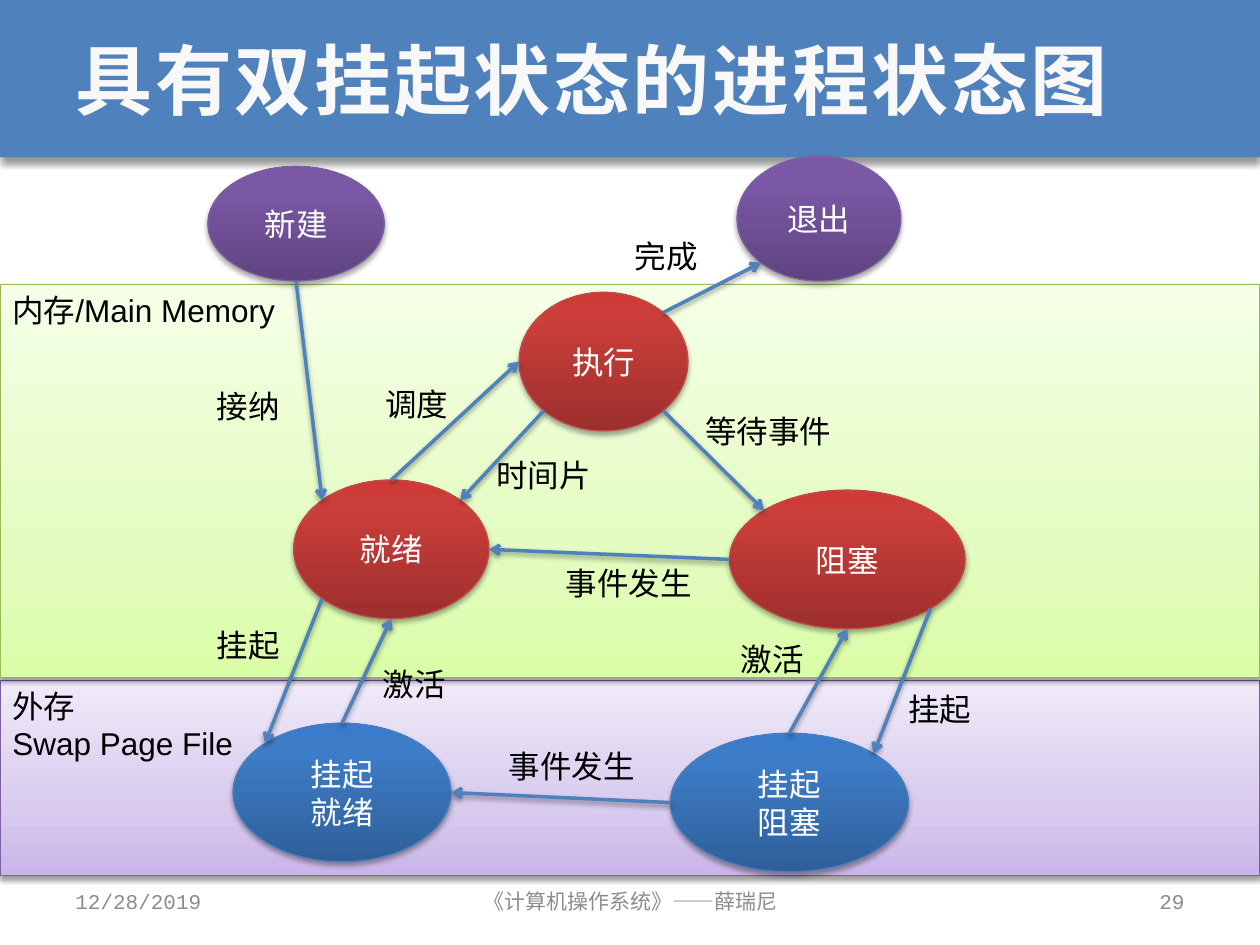
from math import cos, radians, sin

from lxml.etree import SubElement
from pptx import Presentation
from pptx.dml.color import RGBColor
from pptx.enum.shapes import MSO_CONNECTOR, MSO_SHAPE
from pptx.enum.text import MSO_ANCHOR, MSO_AUTO_SIZE, PP_ALIGN
from pptx.oxml.ns import qn
from pptx.util import Inches, Pt

CJK = "Noto Sans CJK SC"
MONO = "Courier New"
COLORS = {
    "accent": "4F81BD", "title": "F8F8F8", "text": "000000",
    "node_text": "FFFFFF", "footer": "8C8C8C", "shadow": "000000",
}
THEMES = {
    "swap": {"stops": ((0, "C9B5E8"), (35, "D8CBEE"), (100, "F0EAF9")), "line": "7D60A0"},
    "memory": {"stops": ((0, "DAFDA7"), (35, "E4FCC2"), (100, "F5FFE7")), "line": "98B955"},
    "red": {"stops": ((0, "9C2F2D"), (80, "CB3E3A"), (100, "CE3B37")), "line": "BF4C48"},
    "blue": {"stops": ((0, "2F5F99"), (80, "3D7CC7"), (100, "3A7CCB")), "line": "4B7EBC"},
    "purple": {"stops": ((0, "5F4480"), (80, "7B58A6"), (100, "7C57A8")), "line": "7D60A0"},
}
SITES = {"top": 270, "top_left": 225, "left": 180, "bottom_left": 135,
         "bottom": 90, "bottom_right": 45, "right": 0, "top_right": 315}

STATES = {
    "run": ("执行", "red", (4.12, 1.07, 1.34, 1.1)),
    "ready": ("就绪", "red", (2.33, 2.56, 1.55, 1.1)),
    "blocked": ("阻塞", "red", (5.79, 2.64, 1.87, 1.1)),
    "ready_swapped": ("挂起\n就绪", "blue", (1.85, 4.49, 1.73, 1.1)),
    "blocked_swapped": ("挂起\n阻塞", "blue", (5.32, 4.57, 1.89, 1.1)),
    "new": ("新建", "purple", (1.65, 0.07, 1.4, 0.91)),
    "exit": ("退出", "purple", (5.85, -0.01, 1.3, 0.99)),
}
TRANSITIONS = [
    ("new", "bottom", "ready", "top_left", "接纳", CJK, (1.62, 1.77, 0.71)),
    ("ready", "top", "run", "left", "调度", "Arial", (2.96, 1.76, 0.75)),
    ("run", "bottom_left", "ready", "top_right", "时间片", "Arial", (3.84, 2.32, 1.1)),
    ("run", "bottom_right", "blocked", "top_left", "等待事件", CJK, (5.5, 1.97, 1.23)),
    ("run", "top_right", "exit", "bottom_left", "完成", "Arial", (4.94, 0.58, 0.75)),
    ("blocked", "left", "ready", "right", "事件发生", "Arial", (4.39, 3.18, 1.3)),
    ("ready", "bottom_left", "ready_swapped", "top_left", "挂起", CJK, (1.62, 3.67, 0.71)),
    ("ready_swapped", "top", "ready", "bottom", "激活", CJK, (2.94, 3.98, 0.72)),
    ("blocked_swapped", "top", "blocked", "bottom", "激活", CJK, (5.78, 3.78, 0.72)),
    ("blocked", "bottom_right", "blocked_swapped", "top_right", "挂起", CJK, (7.11, 4.18, 0.79)),
    ("blocked_swapped", "left", "ready_swapped", "right", "事件发生", CJK, (3.94, 4.63, 1.26)),
]


def rgb(name):
    return RGBColor.from_string(COLORS.get(name, name))


def inches(box):
    return [Inches(length) for length in box]


def inside(outer, box):
    return (outer[0] + box[0], outer[1] + box[1], *box[2:])


def write(frame, text, size=18, font=CJK, color="text", bold=False, spacing=None,
          align=PP_ALIGN.LEFT, anchor=MSO_ANCHOR.TOP, wrap=True, fit=MSO_AUTO_SIZE.NONE):
    frame.word_wrap = wrap
    frame.auto_size = fit
    frame.vertical_anchor = anchor
    frame.text = text
    for paragraph in frame.paragraphs:
        paragraph.alignment = align
        for run in paragraph.runs:
            run.font.size = Pt(size)
            run.font.name = font
            run.font.bold = bold
            run.font.color.rgb = rgb(color)
            properties = run.font._element
            SubElement(properties, qn("a:ea"), typeface=CJK)
            if spacing:
                properties.set("spc", str(int(spacing * 100)))


def add_shadow(shape, alpha, blur, distance):
    effects = SubElement(shape._element.spPr, qn("a:effectLst"))
    shadow = SubElement(effects, qn("a:outerShdw"), blurRad=str(Pt(blur)),
                        dist=str(Pt(distance)), dir="5400000", rotWithShape="0")
    color = SubElement(shadow, qn("a:srgbClr"), val=COLORS["shadow"])
    SubElement(color, qn("a:alpha"), val=str(alpha * 1000))


def add_panel(slide, preset, box, theme, shadow):
    panel = slide.shapes.add_shape(preset, *inches(box))
    panel.fill.gradient()
    panel.fill.gradient_angle = 90
    stops = panel._element.spPr.find(qn("a:gradFill")).find(qn("a:gsLst"))
    for stop in list(stops):
        stops.remove(stop)
    for position, color in THEMES[theme]["stops"]:
        stop = SubElement(stops, qn("a:gs"), pos=str(position * 1000))
        SubElement(stop, qn("a:srgbClr"), val=color)
    panel.line.color.rgb = rgb(THEMES[theme]["line"])
    panel.line.width = Pt(0.75)
    add_shadow(panel, *shadow)
    return panel


def add_header(slide, box, text):
    banner = slide.shapes.add_shape(MSO_SHAPE.RECTANGLE, *inches(box))
    banner.fill.solid()
    banner.fill.fore_color.rgb = rgb("accent")
    banner.line.fill.background()
    add_shadow(banner, 40, 4, 3)
    title = slide.shapes.title
    title.left, title.top, title.width, title.height = inches(
        inside(box, (0.5, 0, box[2] - 1, box[3])))
    write(title.text_frame, text, size=44, font=MONO, color="title", bold=True,
          spacing=1.5, anchor=MSO_ANCHOR.MIDDLE)
    banner._element.addnext(title._element)


def add_memory_band(slide, box, text, theme):
    band = add_panel(slide, MSO_SHAPE.RECTANGLE, box, theme, (38, 3.1, 1.6))
    write(band.text_frame, text, font="Arial")


def add_state(slide, box, text, theme):
    state = add_panel(slide, MSO_SHAPE.OVAL, box, theme, (35, 3.1, 1.8))
    write(state.text_frame, text, color="node_text", align=PP_ALIGN.CENTER,
          anchor=MSO_ANCHOR.MIDDLE, wrap=False)


def site_point(box, site):
    left, top, width, height = box
    angle = radians(SITES[site])
    return left + width / 2 * (1 + cos(angle)), top + height / 2 * (1 + sin(angle))


def add_arrow(slide, start, end):
    arrow = slide.shapes.add_connector(MSO_CONNECTOR.STRAIGHT, *inches(start + end))
    arrow.line.color.rgb = rgb("accent")
    arrow.line.width = Pt(2)
    SubElement(arrow.line._get_or_add_ln(), qn("a:tailEnd"), type="arrow")
    add_shadow(arrow, 38, 3.1, 1.6)


def add_state_diagram(slide, box):
    width = box[2]
    add_memory_band(slide, inside(box, (0, 4.15, width, 1.55)), "外存\nSwap Page File", "swap")
    add_memory_band(slide, inside(box, (0, 1.01, width, 3.12)), "内存/Main Memory", "memory")
    places = {key: inside(box, place) for key, (_, _, place) in STATES.items()}
    for key, (text, theme, _) in STATES.items():
        add_state(slide, places[key], text, theme)
    for source, leave, target, enter, text, font, place in TRANSITIONS:
        add_arrow(slide, site_point(places[source], leave), site_point(places[target], enter))
        label = slide.shapes.add_textbox(*inches(inside(box, (*place, 0.4))))
        write(label.text_frame, text, font=font, fit=MSO_AUTO_SIZE.SHAPE_TO_FIT_TEXT)


def add_footer(slide, box):
    for left, width, text, align in (
        (0, 2.33, "12/28/2019", PP_ALIGN.LEFT),
        (2.92, 3.17, "《计算机操作系统》——薛瑞尼", PP_ALIGN.CENTER),
        (6.67, 2.33, "29", PP_ALIGN.RIGHT),
    ):
        part = slide.shapes.add_textbox(*inches(inside(box, (left, 0, width, box[3]))))
        write(part.text_frame, text, size=12, font=MONO, color="footer",
              align=align, anchor=MSO_ANCHOR.MIDDLE)


def main():
    deck = Presentation()
    deck.slide_width, deck.slide_height = Inches(10), Inches(7.5)
    slide = deck.slides.add_slide(deck.slide_layouts[5])
    add_header(slide, (0, 0, 10, 1.25), "具有双挂起状态的进程状态图")
    add_state_diagram(slide, (0, 1.25, 10, 5.7))
    add_footer(slide, (0.5, 6.95, 9, 0.4))
    deck.save("out.pptx")


if __name__ == "__main__":
    main()
